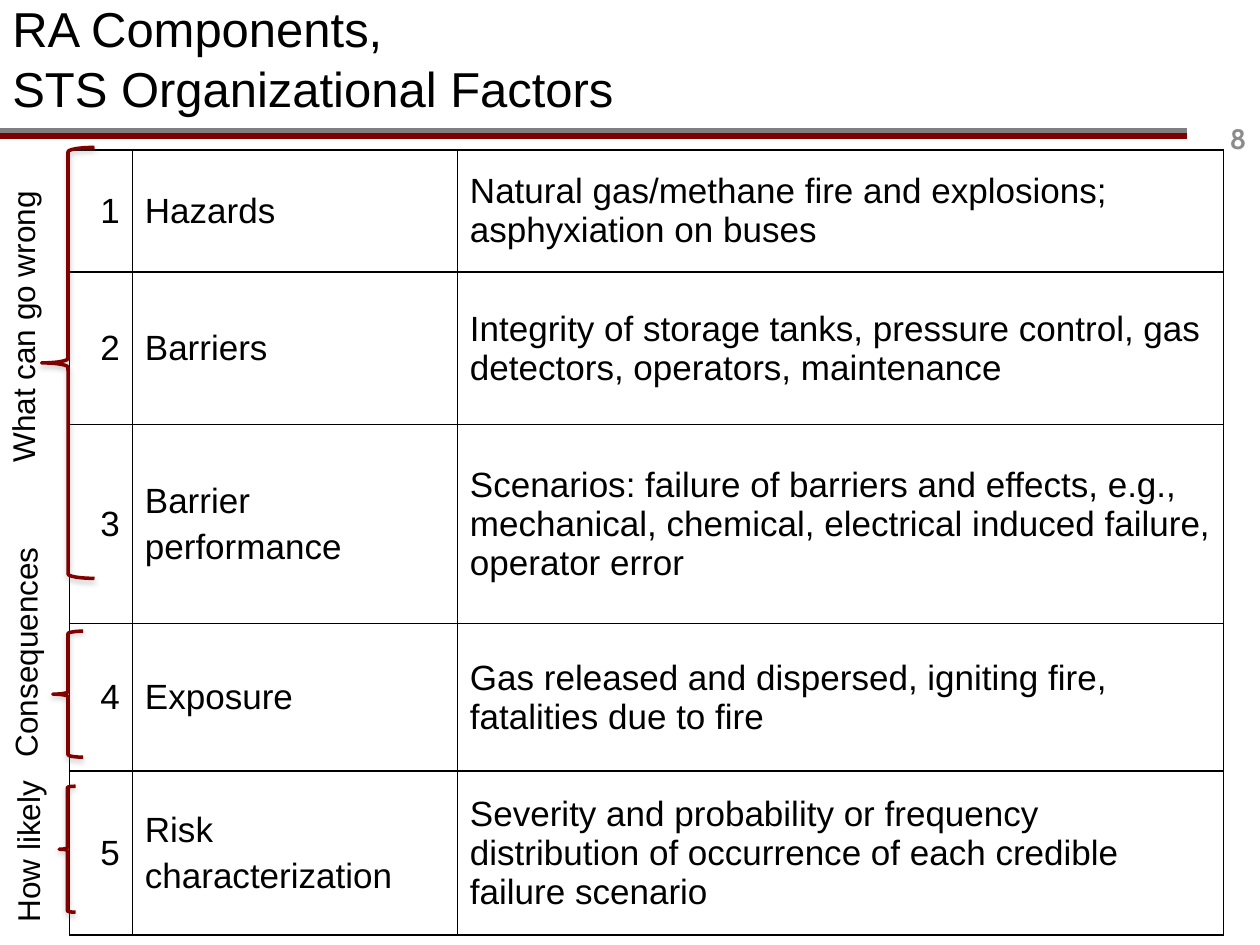
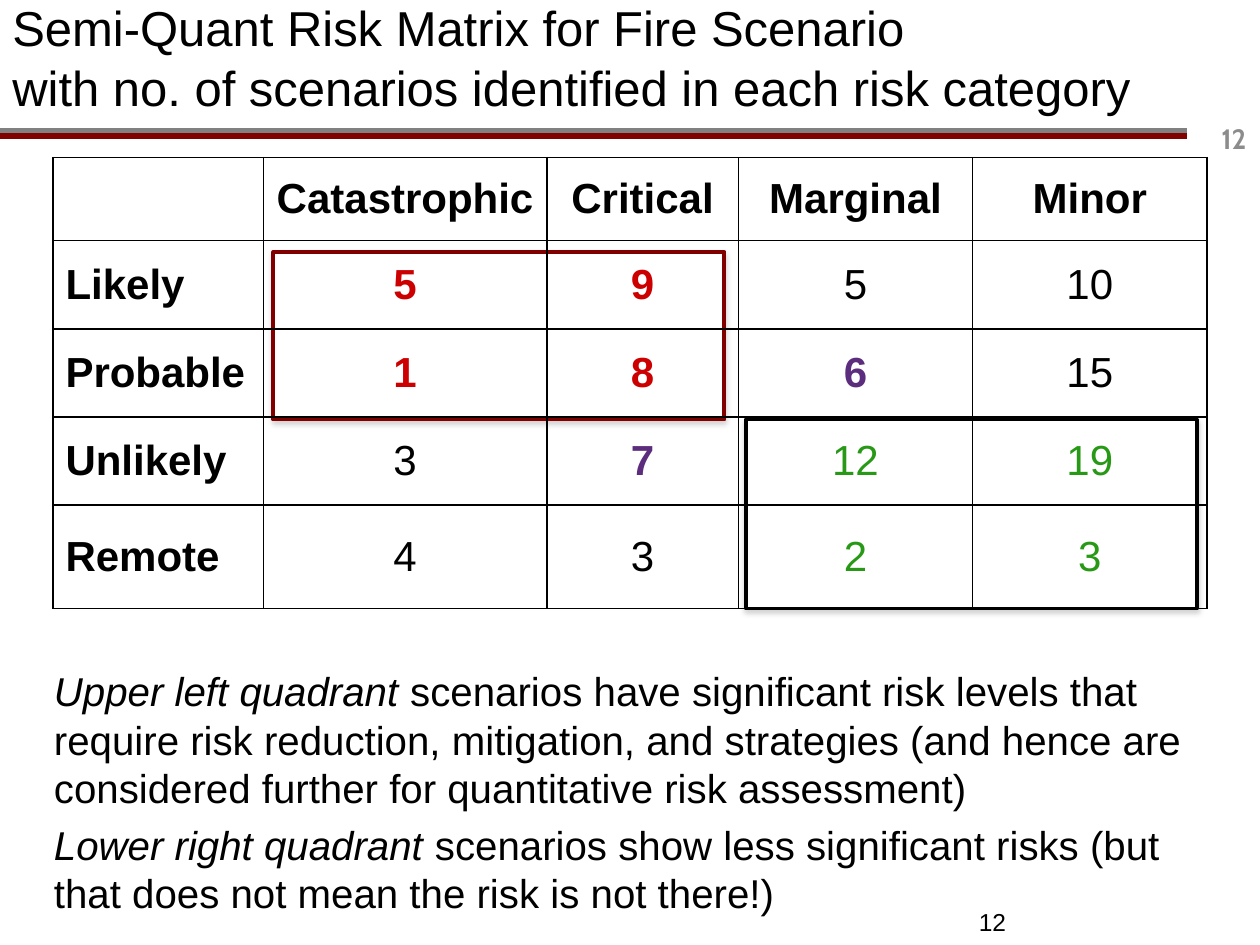
from lxml import etree
from pptx import Presentation
from pptx.dml.color import RGBColor
from pptx.enum.shapes import MSO_CONNECTOR, MSO_SHAPE
from pptx.enum.text import MSO_ANCHOR, PP_ALIGN
from pptx.oxml import parse_xml
from pptx.oxml.ns import nsdecls, qn
from pptx.util import Pt

EMU_PER_PX = 9144  # 100 px to the inch


def px(length):
    return length * EMU_PER_PX


def color(hex_string):
    return RGBColor.from_string(hex_string)


class Deck:
    BLACK, WHITE, GRAY, MAROON = "000000", "FFFFFF", "808080", "800000"
    NUMBER_GRAY, RED, PURPLE, GREEN = "8C8C8C", "CC0000", "5D2D7D", "289916"
    FONT, NUMBER_FONT = "Arial", "Cabin"

    def __init__(self):
        self.presentation = Presentation()
        self.presentation.slide_width = px(1000)
        self.presentation.slide_height = px(750)
        self.slide = None

    def start_slide(self, number):
        """Add a blank slide with the two bands and the slide number."""
        self.slide = self.presentation.slides.add_slide(self.presentation.slide_layouts[6])
        self.band(104, self.GRAY)
        self.band(108, self.MAROON)
        self.text([str(number)], 917, 90, 82, 40, 16, anchor=MSO_ANCHOR.MIDDLE,
                  align=PP_ALIGN.RIGHT, bold=True, hex_color=self.NUMBER_GRAY,
                  font_name=self.NUMBER_FONT)

    def band(self, y, hex_color):
        line = self.slide.shapes.add_connector(MSO_CONNECTOR.STRAIGHT, 0, px(y), px(942), px(y))
        line.line.color.rgb = color(hex_color)
        line.line.width = Pt(3)
        etree.SubElement(line._element.spPr, qn("a:effectLst"))

    def style(self, paragraph, size, hex_color=BLACK, bold=False, align=PP_ALIGN.LEFT,
              font_name=FONT, line_height=None):
        paragraph.alignment = align
        paragraph.font.name = font_name
        paragraph.font.size = Pt(size)
        paragraph.font.bold = bold
        paragraph.font.color.rgb = color(hex_color)
        if line_height:
            paragraph.line_spacing = Pt(line_height)

    def fill_frame(self, frame, paragraphs, size, **style):
        """Write paragraphs; a (lead, rest) pair has an italic lead."""
        for index, content in enumerate(paragraphs):
            paragraph = frame.add_paragraph() if index else frame.paragraphs[0]
            if isinstance(content, tuple):
                for text, italic in zip(content, (True, False)):
                    run = paragraph.add_run()
                    run.text = text
                    run.font.italic = italic
            else:
                paragraph.text = content
            self.style(paragraph, size, **style)
            if index:
                paragraph.space_before = Pt(size * 0.2)

    def text(self, paragraphs, x, y, width, height, size, anchor=MSO_ANCHOR.TOP, **style):
        box = self.slide.shapes.add_textbox(px(x), px(y), px(width), px(height))
        box.text_frame.word_wrap = True
        box.text_frame.vertical_anchor = anchor
        self.fill_frame(box.text_frame, paragraphs, size, **style)
        return box

    def title(self, text, y, width, height):
        self.text([text], 0, y, width, height, 28, anchor=MSO_ANCHOR.MIDDLE, line_height=34.3)

    def side_label(self, text, center_x, bottom):
        """One line that reads upwards from its bottom end."""
        length, thickness = 260, 40
        box = self.text([text], center_x - length // 2, bottom - (length + thickness) // 2,
                        length, thickness, 18)
        box.rotation = 270

    def outline(self, kind, x, y, width, height, hex_color, weight, fill=None,
                shadow_alpha=35, adjustments=()):
        """Preset shape with a line and a soft shadow below it."""
        shape = self.slide.shapes.add_shape(kind, px(x), px(y), px(width), px(height))
        for index, value in enumerate(adjustments):
            shape.adjustments[index] = value
        if fill:
            shape.fill.solid()
            shape.fill.fore_color.rgb = color(fill)
        else:
            shape.fill.background()
        shape.line.color.rgb = color(hex_color)
        shape.line.width = Pt(weight)
        shape.shadow.inherit = False
        effects = shape._element.spPr.find(qn("a:effectLst"))
        effects.append(parse_xml(
            f'<a:outerShdw {nsdecls("a")} blurRad="{Pt(3.1)}" dist="{Pt(1.7)}" dir="5400000" '
            f'rotWithShape="0"><a:srgbClr val="{self.GRAY}">'
            f'<a:alpha val="{shadow_alpha * 1000}"/></a:srgbClr></a:outerShdw>'))

    def brace(self, x, y, width, height):
        self.outline(MSO_SHAPE.LEFT_BRACE, x, y, width, height, self.MAROON, 2,
                     shadow_alpha=38, adjustments=(0.083, 0.5))

    def table(self, x, y, column_widths, row_heights):
        """Unfilled table with thin black borders."""
        table = self.slide.shapes.add_table(
            len(row_heights), len(column_widths), px(x), px(y),
            px(sum(column_widths)), px(sum(row_heights))).table
        table.first_row = table.horz_banding = False
        for column, width in zip(table.columns, column_widths):
            column.width = px(width)
        for row, height in zip(table.rows, row_heights):
            row.height = px(height)
        for cell in table.iter_cells():
            properties = cell._tc.get_or_add_tcPr()
            for side in ("lnL", "lnR", "lnT", "lnB"):
                properties.append(parse_xml(
                    f'<a:{side} {nsdecls("a")} w="{Pt(1)}"><a:solidFill>'
                    f'<a:srgbClr val="{self.BLACK}"/></a:solidFill></a:{side}>'))
            cell.fill.background()
            cell.vertical_anchor = MSO_ANCHOR.MIDDLE
        return table


def components_slide(deck):
    deck.start_slide(8)
    deck.title("RA Components,\nSTS Organizational Factors", -17, 983, 125)

    # Components table
    components = [
        (["Hazards"], "Natural gas/methane fire and explosions; asphyxiation on buses"),
        (["Barriers"], "Integrity of storage tanks, pressure control, gas detectors, "
                       "operators, maintenance"),
        (["Barrier", "performance"], "Scenarios: failure of barriers and effects, e.g., "
                                     "mechanical, chemical, electrical induced failure, "
                                     "operator error"),
        (["Exposure"], "Gas released and dispersed, igniting fire, fatalities due to fire"),
        (["Risk", "characterization"], "Severity and probability or frequency distribution "
                                       "of occurrence of each credible failure scenario"),
    ]
    table = deck.table(55, 119, [50, 258, 608], [97, 121, 158, 117, 130])
    for row, (name, description) in enumerate(components):
        for column, paragraphs in enumerate(([str(row + 1)], name, [description])):
            deck.fill_frame(table.cell(row, column).text_frame, paragraphs, 20, line_height=22.3,
                            align=PP_ALIGN.LEFT if column else PP_ALIGN.RIGHT)

    # Braces and the questions they answer
    deck.brace(33, 117, 42, 342)
    deck.brace(42, 501, 24, 100)
    deck.brace(47, 624, 13, 100)
    deck.side_label("What can go wrong", 18, 377)
    deck.side_label("Consequences", 20, 611)
    deck.side_label("How likely", 22, 742)


def matrix_slide(deck):
    deck.start_slide(12)

    # Quadrant frames behind the matrix
    deck.outline(MSO_SHAPE.RECTANGLE, 217, 200, 358, 133, deck.MAROON, 2.25, fill=deck.WHITE)
    deck.outline(MSO_SHAPE.RECTANGLE, 592, 333, 358, 150, deck.BLACK, 2.25, fill=deck.WHITE)

    # Risk matrix
    matrix = [
        ["", "Catastrophic", "Critical", "Marginal", "Minor"],
        ["Likely", "5", "9", "5", "10"],
        ["Probable", "1", "8", "6", "15"],
        ["Unlikely", "3", "7", "12", "19"],
        ["Remote", "4", "3", "2", "3"],
    ]
    borderline = {(2, 3), (3, 2)}
    table = deck.table(42, 125, [167, 225, 152, 186, 186], [66, 70, 70, 70, 82])
    for row, values in enumerate(matrix):
        for column, value in enumerate(values):
            hex_color = deck.BLACK
            if row and column:
                if (row, column) in borderline:
                    hex_color = deck.PURPLE
                elif row <= 2 and column <= 2:
                    hex_color = deck.RED
                elif row >= 3 and column >= 3:
                    hex_color = deck.GREEN
            bold = row == 0 or column == 0 or hex_color in (deck.RED, deck.PURPLE)
            deck.fill_frame(table.cell(row, column).text_frame, [value], 24,
                            hex_color=hex_color, bold=bold,
                            align=PP_ALIGN.CENTER if column else PP_ALIGN.LEFT)

    # Title, second number and reading of the quadrants
    deck.text(["12"], 767, 715, 233, 35, 14)
    deck.title("Semi-Quant Risk Matrix for Fire Scenario\n"
               "with no. of scenarios identified in each risk category", -9, 1000, 108)
    deck.text([
        ("Upper left quadrant", " scenarios have significant risk levels that require risk "
                                "reduction, mitigation, and strategies (and hence are "
                                "considered further for quantitative risk assessment)"),
        ("Lower right quadrant", " scenarios show less significant risks (but that does not "
                                 "mean the risk is not there!)"),
    ], 33, 524, 917, 245, 23, line_height=27.7)


def main():
    deck = Deck()
    components_slide(deck)
    matrix_slide(deck)
    deck.presentation.save("out.pptx")


if __name__ == "__main__":
    main()
